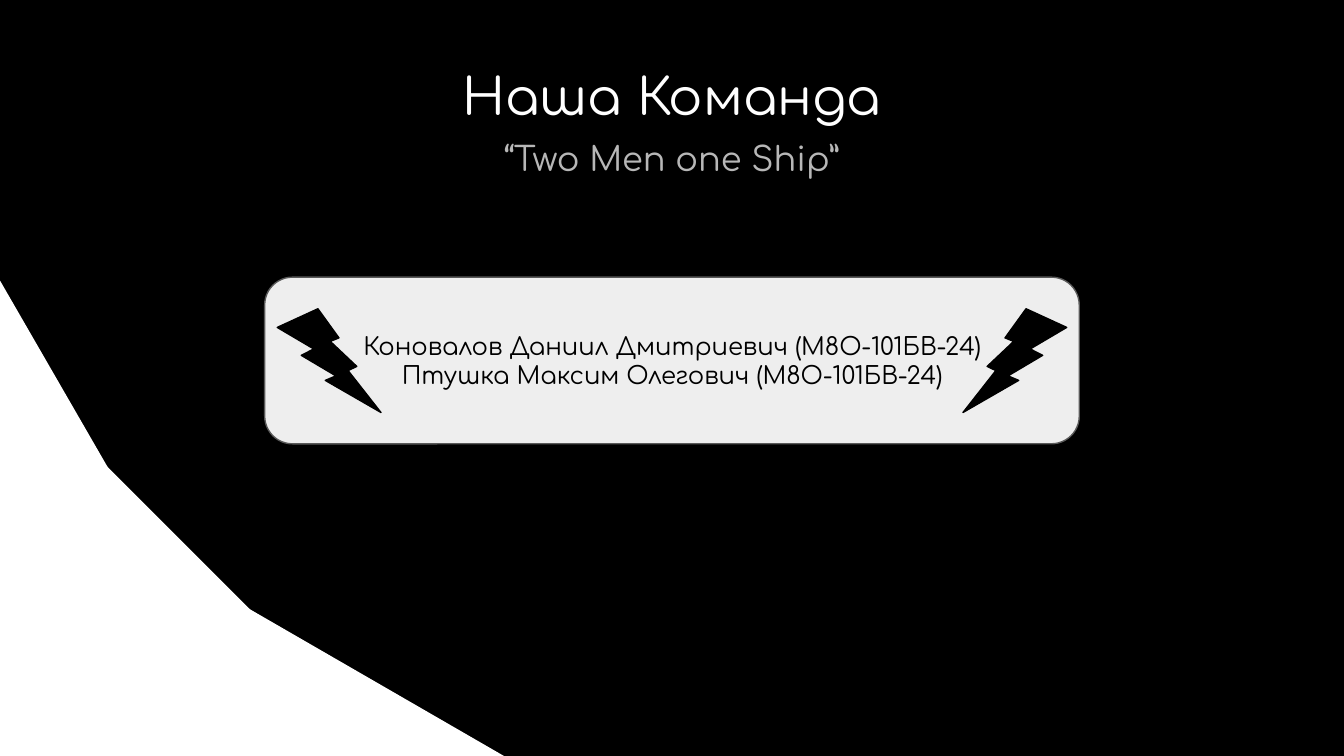
import pptx
import pptx.dml.color
import pptx.enum.shapes
import pptx.enum.text
import pptx.oxml
import pptx.oxml.ns
import pptx.util

Pt = pptx.util.Pt
SHAPES = pptx.enum.shapes.MSO_SHAPE
ANCHOR = pptx.enum.text.MSO_ANCHOR


def color(hex_string):
    return pptx.dml.color.RGBColor.from_string(hex_string)


class TeamSlide:
    font_name = "Comfortaa"
    background = "000000"
    inset = 7.2
    line_width = 0.75

    def __init__(self, presentation):
        self.slide = presentation.slides.add_slide(presentation.slide_layouts[1])
        fill = self.slide.background.fill
        fill.solid()
        fill.fore_color.rgb = color(self.background)

    def set_text(self, shape, lines, size, text_color, anchor):
        """Fill a shape with centred paragraphs and return them."""
        frame = shape.text_frame
        frame.word_wrap = True
        frame.auto_size = pptx.enum.text.MSO_AUTO_SIZE.NONE
        frame.vertical_anchor = anchor
        frame.margin_left = frame.margin_right = Pt(self.inset)
        frame.margin_top = frame.margin_bottom = Pt(self.inset)
        frame.text = "\n".join(lines)
        for paragraph in frame.paragraphs:
            paragraph.alignment = pptx.enum.text.PP_ALIGN.CENTER
            paragraph.space_before = Pt(0)
            paragraph.font.name = self.font_name
            paragraph.font.size = Pt(size)
            paragraph.font.color.rgb = color(text_color)
        return frame.paragraphs

    def place(self, shape, left, top, width, height):
        shape.left, shape.top = Pt(left), Pt(top)
        shape.width, shape.height = Pt(width), Pt(height)

    def title(self, text, box, size, text_color):
        shape = self.slide.shapes.title
        self.place(shape, *box)
        self.set_text(shape, [text], size, text_color, ANCHOR.MIDDLE)

    def subtitle(self, text, box, size, text_color):
        shape = self.slide.placeholders[1]
        self.place(shape, *box)
        paragraph = self.set_text(shape, [text], size, text_color, ANCHOR.TOP)[0]
        paragraph.line_spacing = 1.15
        paragraph.space_after = Pt(12)
        # Plain centred line: no bullet, no hanging indent
        properties = paragraph._p.get_or_add_pPr()
        properties.set("marL", "0")
        properties.set("indent", "0")
        bullet = pptx.oxml.parse_xml(
            "<a:buNone %s/>" % pptx.oxml.ns.nsdecls("a"))
        properties.find(pptx.oxml.ns.qn("a:defRPr")).addprevious(bullet)

    def shape(self, kind, box, fill_color, line_color, rotation=0, mirrored=False):
        shape = self.slide.shapes.add_shape(kind, *(Pt(length) for length in box))
        shape.shadow.inherit = False
        shape.fill.solid()
        shape.fill.fore_color.rgb = color(fill_color)
        shape.line.color.rgb = color(line_color)
        shape.line.width = Pt(self.line_width)
        shape.rotation = rotation
        if mirrored:
            shape._element.spPr.get_or_add_xfrm().set("flipH", "1")
        return shape


def main():
    presentation = pptx.Presentation()
    presentation.slide_width = Pt(720)
    presentation.slide_height = Pt(405)
    team = TeamSlide(presentation)

    # Headings
    team.title("Наша Команда", (141.8, 13.7, 436.4, 74.9), 27.2, "FFFFFF")
    team.subtitle("“Two Men one Ship”", (180.2, 63.4, 359.5, 72), 18, "B7B7B7")

    # White corner made of turned bars
    for left, top, rotation in ((-170.6, 272.9, 45), (-0.7, 387.4, 30),
                                (-285.1, 112.3, 60)):
        team.shape(SHAPES.ROUNDED_RECTANGLE, (left, top, 438.5, 150.5),
                   "FFFFFF", "FFFFFF", rotation)

    # Card with the team members
    card = team.shape(SHAPES.ROUNDED_RECTANGLE, (141.8, 148.5, 436.4, 89.3),
                      "EEEEEE", "595959")
    members = ["Коновалов Даниил Дмитриевич (М8О-101БВ-24)",
               "Птушка Максим Олегович (М8О-101БВ-24)"]
    team.set_text(card, members, 13, "000000", ANCHOR.MIDDLE)

    # Lightning bolts, mirrored about the slide centre
    bolt_left, bolt_size = 148.5, 55.6
    for left, mirrored in ((bolt_left, False),
                           (720 - bolt_left - bolt_size, True)):
        team.shape(SHAPES.LIGHTNING_BOLT, (left, 165.4, bolt_size, bolt_size),
                   "000000", "000000", mirrored=mirrored)

    presentation.save("out.pptx")


if __name__ == "__main__":
    main()
